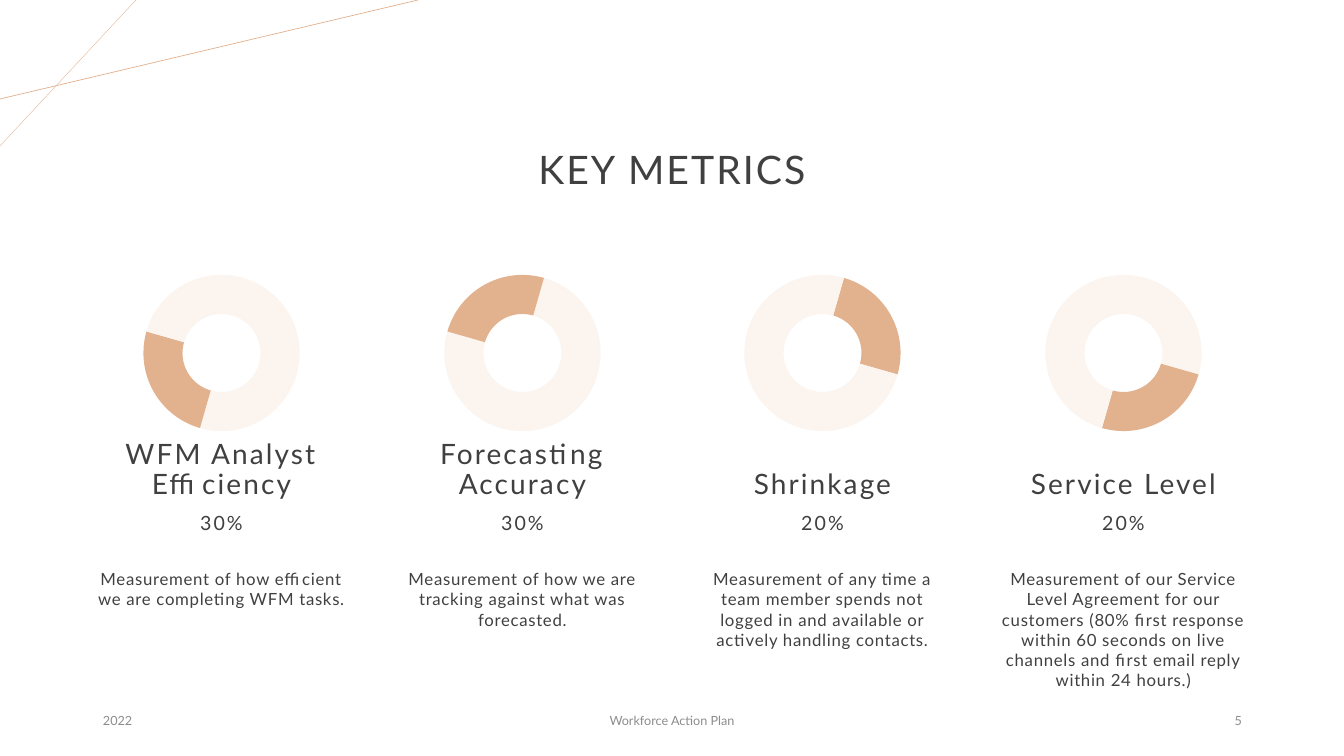
from lxml.etree import SubElement
from pptx import Presentation
from pptx.chart.data import CategoryChartData
from pptx.dml.color import RGBColor
from pptx.enum.chart import XL_CHART_TYPE as ChartType
from pptx.enum.shapes import MSO_CONNECTOR as Connector
from pptx.enum.text import MSO_ANCHOR as Anchor, PP_ALIGN as Align
from pptx.oxml.ns import qn
from pptx.util import Pt

# Content: heading, share, description, highlighted quarter
METRICS = [
    ("WFM Analyst Efficiency", "30%",
     "Measurement of how efficient we are completing WFM tasks.", 2),
    ("Forecasting Accuracy", "30%",
     "Measurement of how we are tracking against what was forecasted.", 3),
    ("Shrinkage", "20%",
     "Measurement of any time a team member spends not logged in and "
     "available or actively handling contacts.", 0),
    ("Service Level", "20%",
     "Measurement of our Service Level Agreement for our customers (80% first "
     "response within 60 seconds on live channels and first email reply "
     "within 24 hours.)", 1),
]
# Text, left, width, alignment
FOOTERS = [
    ("2022", 93, 302, Align.LEFT),
    ("Workforce Action Plan", 445, 454, Align.CENTER),
    ("5", 950, 302, Align.RIGHT),
]
# Start x, end y, width in points
CORNER_LINES = [(136, 146, 0.25), (418, 99, 0.5)]

FONT = "Lato"
INK, GREY, TAN, CREAM = "404040", "8C8C8C", "E2B18D", "FBF4EF"
LEFT, COLUMN_WIDTH, COLUMN_SPAN = 93, 257, 902
CHART_WIDTH, CHART_HEIGHT = 205, 184


def px(length):
    return round(length * 914400 / 100.8)


def place(*lengths):
    return [px(length) for length in lengths]


def color(value):
    return RGBColor.from_string(value)


def write(box, text, size=12, ink=INK, align=Align.CENTER, anchor=Anchor.TOP,
          spacing=0, line_spacing=None, before=0, side_inset=0):
    frame = box.text_frame
    frame.word_wrap = True
    frame.vertical_anchor = anchor
    frame.margin_left = frame.margin_right = px(side_inset)
    frame.margin_top = frame.margin_bottom = px(5)
    para = frame.paragraphs[0]
    para.alignment = align
    para.line_spacing = line_spacing
    para.space_before = Pt(before)
    span = para.add_run()
    span.text = text
    span.font.name = FONT
    span.font.size = Pt(size)
    span.font.color.rgb = color(ink)
    span.font._element.set("spc", str(round(spacing * 100)))


def add_ring(page, left, top, highlight):
    data = CategoryChartData()
    data.categories = ["1", "2", "3", "4"]
    data.add_series("Series 1", [25] * 4)
    chart = page.shapes.add_chart(
        ChartType.DOUGHNUT, *place(left, top, CHART_WIDTH, CHART_HEIGHT), data).chart
    chart.has_legend = False
    chart.has_title = False
    chart.font.name = FONT
    chart.font.size = Pt(10)
    chart.font.color.rgb = color("000000")
    plot = chart.plots[0]
    plot.vary_by_categories = True
    for quarter in range(4):
        form = plot.series[0].points[quarter].format
        form.fill.solid()
        form.fill.fore_color.rgb = color(TAN if quarter == highlight else CREAM)
        form.line.fill.background()
    ring = plot._element
    ring.find(qn("c:firstSliceAng")).set("val", "16")
    ring.find(qn("c:holeSize")).set("val", "80")


deck = Presentation()
deck.slide_width, deck.slide_height = place(1344, 756)
page = deck.slides.add_slide(deck.slide_layouts[5])

# Corner lines
for start_x, end_y, width in CORNER_LINES:
    line = page.shapes.add_connector(Connector.STRAIGHT, *place(start_x, 0, 0, end_y))
    line.line.color.rgb = color(TAN)
    line.line.width = Pt(width)
    SubElement(line._element.spPr, qn("a:effectLst"))

# Title
title = page.shapes.title
title.left, title.top, title.width, title.height = place(208, 99, 928, 146)
write(title, "KEY METRICS", size=28, anchor=Anchor.MIDDLE, spacing=1.5,
      line_spacing=0.9, side_inset=10)

# Metric columns
for index, (heading, share, description, highlight) in enumerate(METRICS):
    left = LEFT + round(index * COLUMN_SPAN / (len(METRICS) - 1))
    add_ring(page, left + (COLUMN_WIDTH - CHART_WIDTH) // 2, 261, highlight)
    rows = [
        (heading, 417, 89, dict(size=20, anchor=Anchor.BOTTOM, spacing=1.5, line_spacing=0.9)),
        (share, 492, 48, dict(size=14, anchor=Anchor.BOTTOM, spacing=1.5, line_spacing=0.9)),
        (description, 564, 94, dict(size=12, spacing=0.5)),
    ]
    for text, top, height, style in rows:
        box = page.shapes.add_textbox(*place(left, top, COLUMN_WIDTH, height))
        write(box, text, before=10, **style)

# Footer
for text, left, width, align in FOOTERS:
    box = page.shapes.add_textbox(*place(left, 701, width, 40))
    write(box, text, size=9, ink=GREY, align=align, anchor=Anchor.MIDDLE, side_inset=10)

deck.save("out.pptx")
